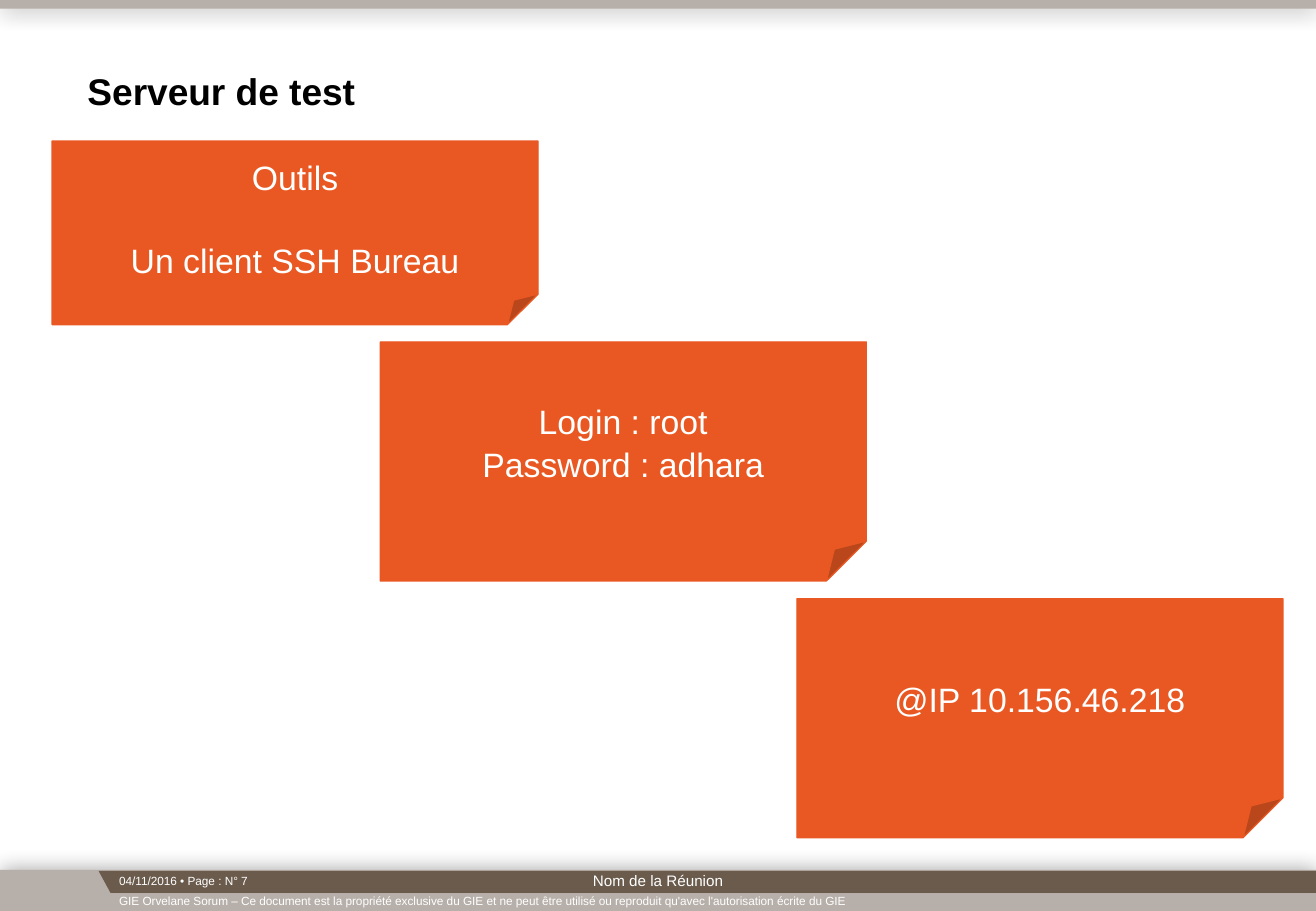
from lxml import etree
from pptx import Presentation
from pptx.dml.color import RGBColor
from pptx.enum.shapes import MSO_SHAPE as Preset
from pptx.enum.text import MSO_ANCHOR as Anchor, PP_ALIGN as Align
from pptx.oxml.ns import qn
from pptx.util import Cm, Pt

TAUPE, BROWN, ORANGE, WHITE, BLACK = "B7AFA9", "6A5B4C", "E95822", "FFFFFF", "000000"


def color(hex_code):
    return RGBColor.from_string(hex_code)


def write(frame, lines, size, hex_code, anchor, align=Align.LEFT, bold=False):
    frame.word_wrap = True
    frame.vertical_anchor = anchor
    frame.text = "\n".join(lines)
    for paragraph in frame.paragraphs:
        paragraph.alignment = align
        for run in paragraph.runs:
            run.font.name = "Arial"
            run.font.size = Pt(size)
            run.font.bold = bold
            run.font.color.rgb = color(hex_code)


deck = Presentation()
deck.slide_width, deck.slide_height = Cm(27.51), Cm(19.05)
slide = deck.slides.add_slide(deck.slide_layouts[6])
shapes = slide.shapes

# Bands with a soft shadow at the bottom and top edges
for top, height in [(18.19, 0.88), (0, 0.18)]:
    band = shapes.add_shape(Preset.RECTANGLE, 0, Cm(top), deck.slide_width, Cm(height))
    band.fill.solid()
    band.fill.fore_color.rgb = color(TAUPE)
    band.line.fill.background()
    band.shadow.inherit = False
    effects = band.element.spPr.find(qn("a:effectLst"))
    glow = etree.SubElement(effects, qn("a:outerShdw"), blurRad=str(Pt(13)), dist="0", dir="0")
    tint = etree.SubElement(glow, qn("a:srgbClr"), val=BLACK)
    etree.SubElement(tint, qn("a:alpha"), val="40000")

# Brown footer strip with a slanted left end
outline = shapes.build_freeform(Cm(2.06), Cm(18.21))
outline.add_line_segments(
    [(Cm(x), Cm(y)) for x, y in [(2.31, 18.67), (27.51, 18.67), (27.51, 18.21)]]
)
strip = outline.convert_to_shape()
strip.fill.solid()
strip.fill.fore_color.rgb = color(BROWN)
strip.line.fill.background()
strip.shadow.inherit = False

# Footer texts
legal = ("GIE Orvelane Sorum – Ce document est la propriété exclusive du GIE et ne peut "
         "être utilisé ou reproduit qu'avec l'autorisation écrite du GIE")
footers = [
    (legal, 2.24, 18.57, 25.27, 7, Anchor.MIDDLE, Align.LEFT),
    ("04/11/2016 • Page : N° 7", 2.24, 18.14, 24.61, 7, Anchor.TOP, Align.LEFT),
    ("Nom de la Réunion", 9.4, 18.14, 8.71, 9, Anchor.MIDDLE, Align.CENTER),
]
for text, left, top, width, size, anchor, align in footers:
    footer = shapes.add_textbox(Cm(left), Cm(top), Cm(width), Cm(0.53))
    write(footer.text_frame, [text], size, WHITE, anchor, align)

# Title
title = shapes.add_textbox(Cm(1.83), Cm(0.2), Cm(19.13), Cm(2.16)).text_frame
title.margin_left = title.margin_top = title.margin_right = title.margin_bottom = 0
write(title, ["Serveur de test"], 22, BLACK, Anchor.BOTTOM, bold=True)

# Notes in a staircase: left, top, height, extra gap between lines, lines
notes = [
    (1.09, 2.95, 3.84, 24, ["Outils", "Un client SSH Bureau"]),
    (7.95, 7.15, 5, 0, ["Login : root", "Password : adhara"]),
    (16.66, 12.52, 5, 0, ["@IP 10.156.46.218"]),
]
for left, top, height, gap, lines in notes:
    note = shapes.add_shape(Preset.FOLDED_CORNER, Cm(left), Cm(top), Cm(10.16), Cm(height))
    note.fill.solid()
    note.fill.fore_color.rgb = color(ORANGE)
    note.line.color.rgb = color(ORANGE)
    note.line.width = Pt(0.75)
    note.shadow.inherit = False
    write(note.text_frame, lines, 20, WHITE, Anchor.MIDDLE, Align.CENTER)
    for paragraph in note.text_frame.paragraphs:
        paragraph.line_spacing = 1.05
    note.text_frame.paragraphs[-1].space_before = Pt(gap)

deck.save("out.pptx")
